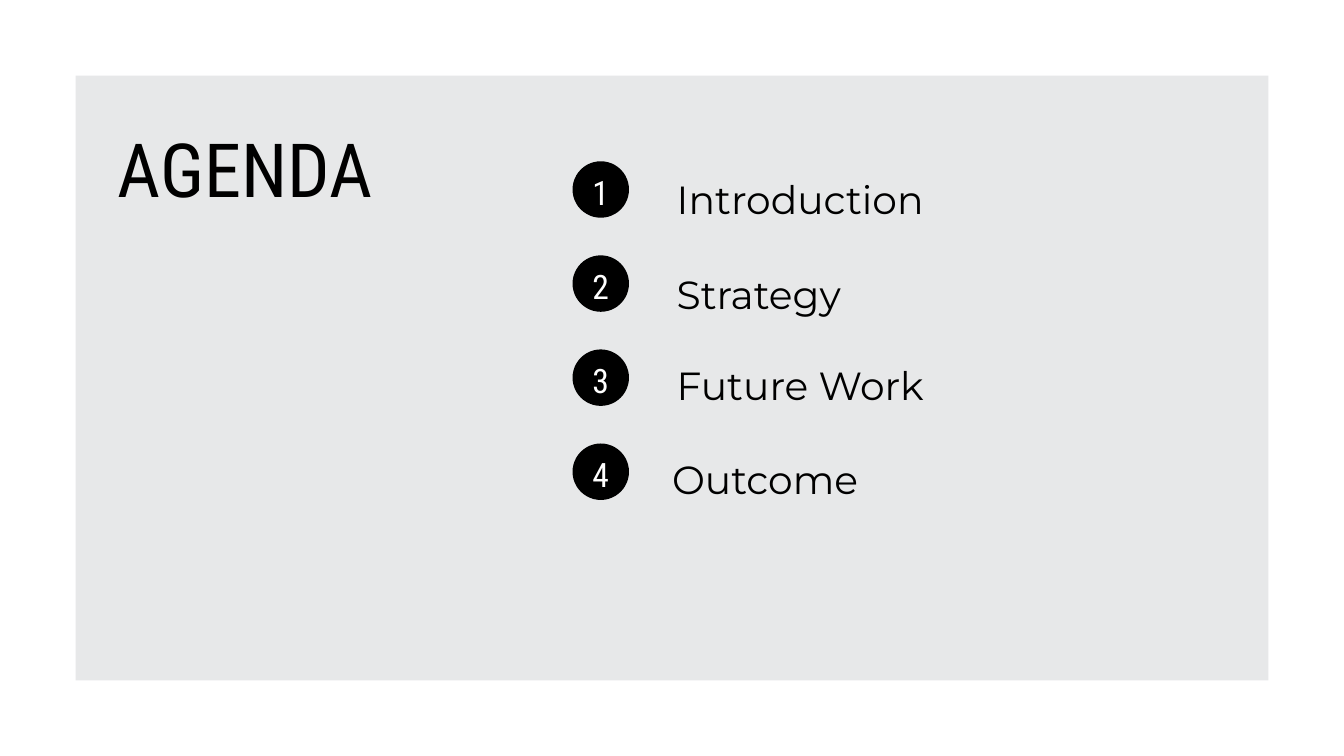
from pptx import Presentation
from pptx.dml.color import RGBColor
from pptx.enum.shapes import MSO_SHAPE
from pptx.enum.text import MSO_ANCHOR, MSO_AUTO_SIZE, PP_ALIGN
from pptx.util import Inches, Pt

RECT, OVAL = MSO_SHAPE.RECTANGLE, MSO_SHAPE.OVAL
LEFT, CENTER = PP_ALIGN.LEFT, PP_ALIGN.CENTER
TOP, GROW = MSO_ANCHOR.TOP, MSO_AUTO_SIZE.SHAPE_TO_FIT_TEXT
TITLE_ONLY = 5

BLACK, WHITE, GRAY = "000000", "FFFFFF", "E7E8E9"
HEAD, BODY = "Roboto Condensed", "Montserrat"


def color(code):
    return RGBColor.from_string(code)


def write(shape, text, font=BODY, size=42, fill=BLACK, align=LEFT, line=84):
    frame = shape.text_frame
    frame.margin_left = frame.margin_right = 0
    frame.margin_top = frame.margin_bottom = 0
    frame.word_wrap = True
    frame.auto_size = GROW
    frame.vertical_anchor = TOP
    para = frame.paragraphs[0]
    para.alignment = align
    para.line_spacing = Pt(line)
    para.space_before = Pt(0)
    run = para.add_run()
    run.text = text
    run.font.name = font
    run.font.size = Pt(size)
    run.font.color.rgb = color(fill)


class Deck:
    def __init__(self, wide, high):
        self.file = Presentation()
        self.file.slide_width = Inches(wide)
        self.file.slide_height = Inches(high)
        self.slide = self.file.slides.add_slide(
            self.file.slide_layouts[TITLE_ONLY])
        back = self.slide.background.fill
        back.solid()
        back.fore_color.rgb = color(WHITE)

    def shape(self, kind, box, fill):
        item = self.slide.shapes.add_shape(kind, *map(Inches, box))
        item.shadow.inherit = False
        item.fill.solid()
        item.fill.fore_color.rgb = color(fill)
        item.line.fill.background()
        return item

    def text(self, box, text, **style):
        item = self.slide.shapes.add_textbox(*map(Inches, box))
        write(item, text, **style)

    def title(self, box, text, **style):
        item = self.slide.shapes.title
        item.left, item.top, item.width, item.height = map(Inches, box)
        write(item, text, **style)
        return item


def main():
    deck = Deck(20, 11.25)

    # Panel, placed behind the title
    panel = deck.shape(RECT, (1.125, 1.125, 17.75, 9), GRAY)
    title = deck.title((1.75, 1.83, 4.66, 1.33), "AGENDA",
                       font=HEAD, size=80, line=96)
    title.element.addprevious(panel.element)

    # Numbered agenda: label, left, top
    items = [
        ("Introduction", 10.07, 2.14),
        ("Strategy", 10.07, 3.55),
        ("Future Work", 10.07, 4.91),
        ("Outcome", 10, 6.31),
    ]
    for i, (label, left, top) in enumerate(items):
        y = 2.4 + 1.4 * i
        deck.shape(OVAL, (8.52, y, 0.84, 0.84), BLACK)
        deck.text((8.64, y - 0.03, 0.6, 0.74), str(i + 1), font=HEAD,
                  size=36, fill=WHITE, align=CENTER, line=56.5)
        deck.text((left, top, 8.01, 1.05), label)

    deck.file.save("out.pptx")


if __name__ == "__main__":
    main()
